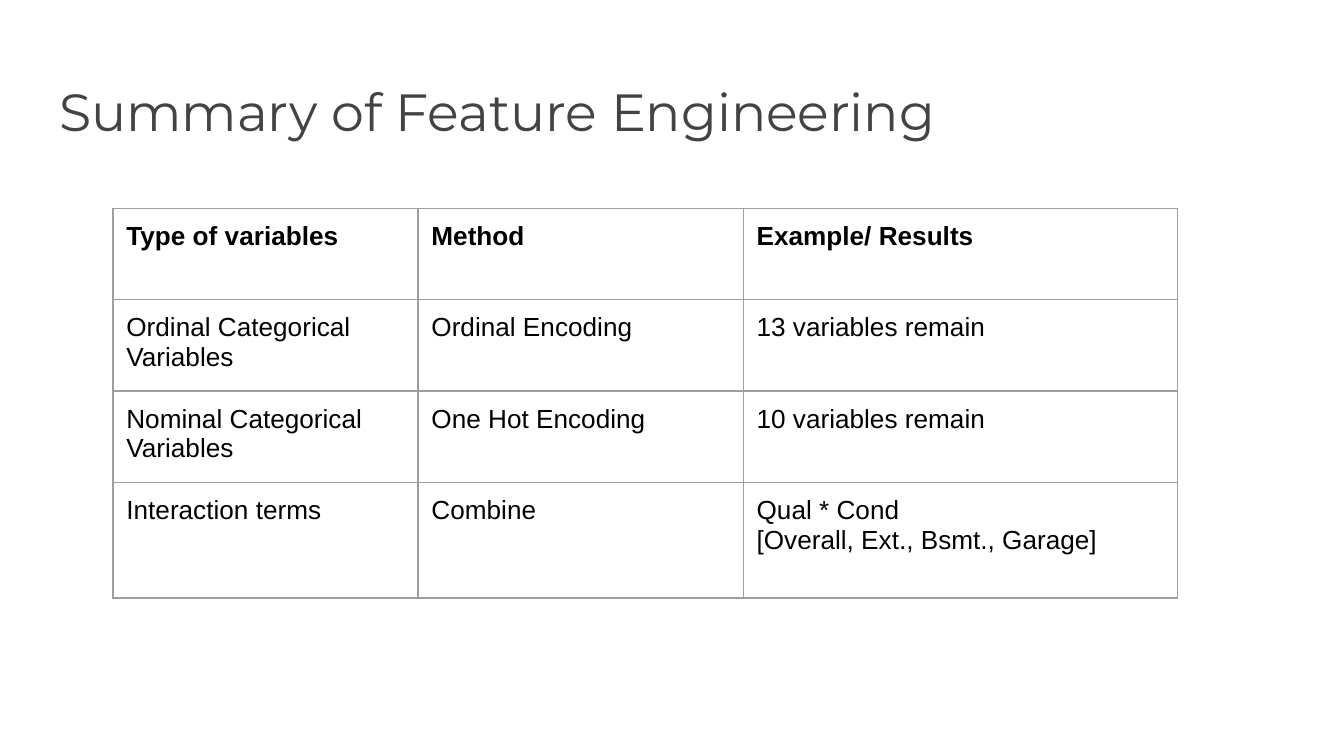
"""Build the feature engineering summary slide."""
from dataclasses import dataclass

from lxml.etree import SubElement
from pptx import Presentation
from pptx.dml.color import RGBColor
from pptx.enum.text import MSO_ANCHOR, MSO_AUTO_SIZE, PP_ALIGN
from pptx.oxml.ns import qn
from pptx.slide import Slide
from pptx.table import _Cell
from pptx.text.text import TextFrame
from pptx.util import Inches, Pt


@dataclass(frozen=True)
class TextStyle:
    font: str
    size: float
    color: str
    bold: bool = False


@dataclass(frozen=True)
class Theme:
    title: TextStyle = TextStyle("Montserrat", 28, "434343")
    header: TextStyle = TextStyle("Arial", 14, "000000", True)
    body: TextStyle = TextStyle("Arial", 14, "000000")
    border: str = "9E9E9E"
    border_width: float = 0.75
    inset: float = 0.1


@dataclass(frozen=True)
class FeatureRow:
    variables: tuple[str, ...]
    method: tuple[str, ...]
    result: tuple[str, ...]

    def cells(self) -> tuple[tuple[str, ...], ...]:
        return self.variables, self.method, self.result


THEME = Theme()
SLIDE_WIDTH = Inches(10)
SLIDE_HEIGHT = SLIDE_WIDTH * 9 // 16
COLUMN_WIDTHS = (2.27, 2.42, 3.23)
ROW_HEIGHTS = (0.68, 0.68, 0.68, 0.86)
ROWS = (
    FeatureRow(("Type of variables",), ("Method",), ("Example/ Results",)),
    FeatureRow(("Ordinal Categorical Variables",), ("Ordinal Encoding",), ("13 variables remain",)),
    FeatureRow(("Nominal Categorical", "Variables"), ("One Hot Encoding",), ("10 variables remain",)),
    FeatureRow(("Interaction terms",), ("Combine",), ("Qual * Cond", "[Overall, Ext., Bsmt., Garage]")),
)


def write_lines(frame: TextFrame, lines: tuple[str, ...], style: TextStyle) -> None:
    """Write each line as a left-aligned paragraph with one styled run."""
    frame.word_wrap = True
    for index, line in enumerate(lines):
        para = frame.add_paragraph() if index else frame.paragraphs[0]
        para.alignment = PP_ALIGN.LEFT
        span = para.add_run()
        span.text = line
        span.font.name = style.font
        span.font.size = Pt(style.size)
        span.font.bold = style.bold
        span.font.color.rgb = RGBColor.from_string(style.color)


def set_insets(box: TextFrame | _Cell) -> None:
    """Give a text frame or cell the same inset on every side."""
    box.margin_left = box.margin_right = Inches(THEME.inset)
    box.margin_top = box.margin_bottom = Inches(THEME.inset)


def draw_borders(cell: _Cell) -> None:
    """Outline all four sides of a cell."""
    properties = cell._tc.get_or_add_tcPr()
    for side in ("a:lnL", "a:lnR", "a:lnT", "a:lnB"):
        line = SubElement(properties, qn(side), w=str(Pt(THEME.border_width)))
        fill = SubElement(line, qn("a:solidFill"))
        SubElement(fill, qn("a:srgbClr"), val=THEME.border)


def draw_title(page: Slide, text: str) -> None:
    """Place and fill the title placeholder."""
    title = page.shapes.title
    title.left, title.top = Inches(0.34), Inches(0.49)
    title.width, title.height = Inches(9.32), Inches(0.63)
    frame = title.text_frame
    frame.auto_size = MSO_AUTO_SIZE.NONE
    frame.vertical_anchor = MSO_ANCHOR.TOP
    set_insets(frame)
    write_lines(frame, (text,), THEME.title)


def draw_table(page: Slide, rows: tuple[FeatureRow, ...]) -> None:
    """Draw the bordered table of variables, methods and results."""
    table = page.shapes.add_table(
        len(rows), len(COLUMN_WIDTHS), Inches(0.84), Inches(1.55),
        Inches(sum(COLUMN_WIDTHS)), Inches(sum(ROW_HEIGHTS)),
    ).table
    table.first_row = table.horz_banding = False
    for column, width in zip(table.columns, COLUMN_WIDTHS):
        column.width = Inches(width)
    for index, (row, height) in enumerate(zip(rows, ROW_HEIGHTS)):
        table.rows[index].height = Inches(height)
        style = THEME.body if index else THEME.header
        for cell, lines in zip(table.rows[index].cells, row.cells()):
            set_insets(cell)
            draw_borders(cell)
            cell.fill.background()
            cell.vertical_anchor = MSO_ANCHOR.TOP
            write_lines(cell.text_frame, lines, style)


def main() -> None:
    """Build and save the deck."""
    deck = Presentation()
    deck.slide_width, deck.slide_height = SLIDE_WIDTH, SLIDE_HEIGHT
    page = deck.slides.add_slide(deck.slide_layouts.get_by_name("Title Only"))
    draw_title(page, "Summary of Feature Engineering")
    draw_table(page, ROWS)
    deck.save("out.pptx")


if __name__ == "__main__":
    main()
